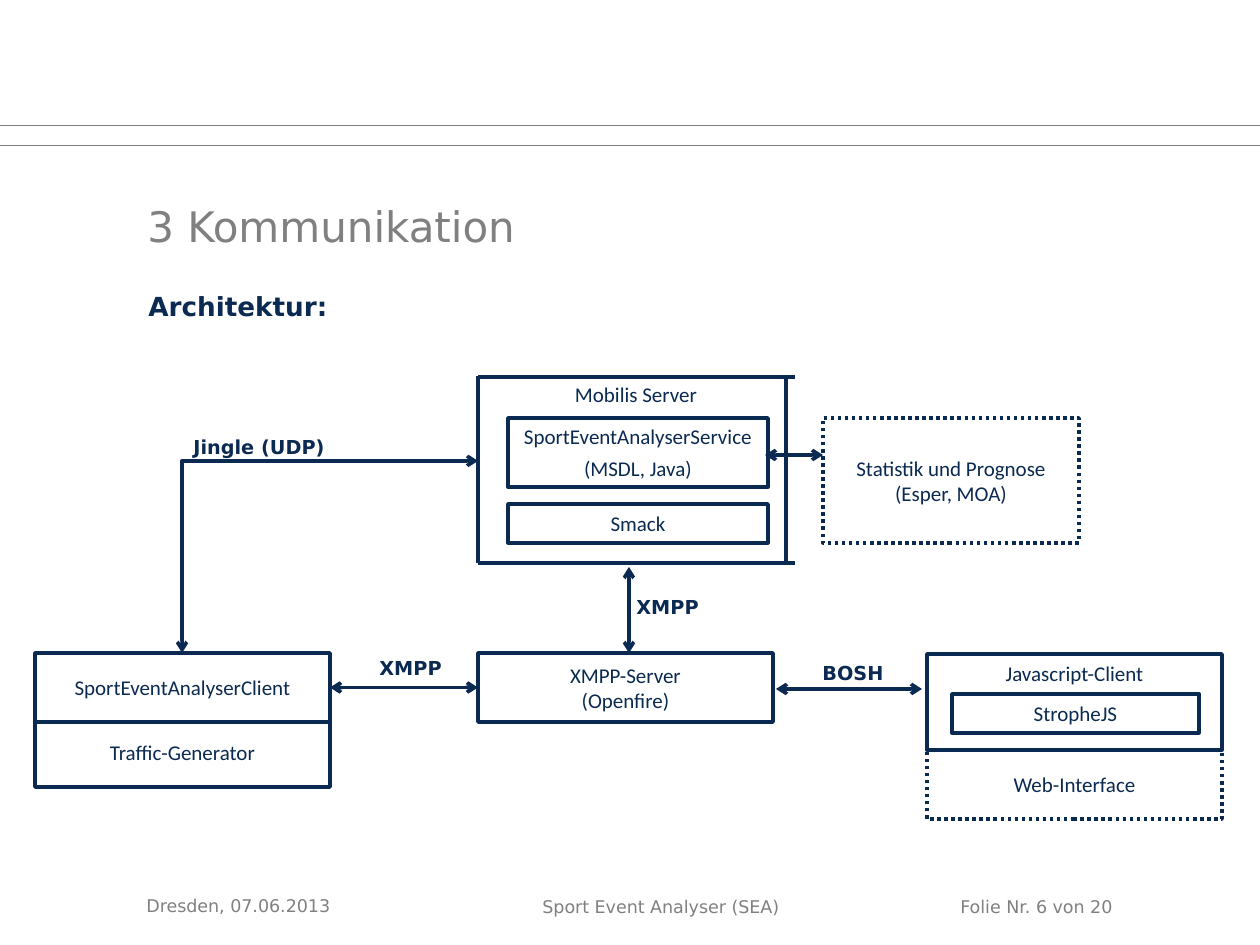
from lxml import etree
from pptx import Presentation
from pptx.dml.color import RGBColor
from pptx.enum.dml import MSO_LINE
from pptx.enum.shapes import MSO_CONNECTOR, MSO_SHAPE
from pptx.enum.text import MSO_ANCHOR, PP_ALIGN
from pptx.oxml.ns import qn
from pptx.util import Emu, Pt

TOP, MIDDLE = MSO_ANCHOR.TOP, MSO_ANCHOR.MIDDLE
LEFT, CENTER = PP_ALIGN.LEFT, PP_ALIGN.CENTER
STRAIGHT, ELBOW = MSO_CONNECTOR.STRAIGHT, MSO_CONNECTOR.ELBOW
RECTANGLE, SOLID, DOTTED = MSO_SHAPE.RECTANGLE, MSO_LINE.SOLID, MSO_LINE.ROUND_DOT
SIDE_LEFT, SIDE_RIGHT = 1, 3

NAVY, GRAY, WHITE = "0B2A51", "808080", "FFFFFF"
SANS, BOX_FONT = "DejaVu Sans", "Calibri"
PX_PER_INCH = 126

# Text styles
TITLE = {"size": Pt(24), "name": SANS, "color": GRAY}
HEADING = {"size": Pt(15), "name": SANS, "bold": True, "color": NAVY}
FOOTER = {"size": Pt(10), "name": SANS, "color": GRAY}
LABEL = {"size": Pt(11), "name": SANS, "bold": True, "color": NAVY}
BOX = {"size": Pt(12), "name": BOX_FONT, "color": NAVY}

# Texts: wording, (left, top, width, height), style, anchor
TEXTS = [
    ("3 Kommunikation", (135, 199, 1034, 53), TITLE, MIDDLE),
    ("Architektur:", (136, 284, 247, 50), HEADING, TOP),
    ("Dresden, 07.06.2013", (134, 881, 294, 50), FOOTER, MIDDLE),
    ("Sport Event Analyser (SEA)", (530, 890, 281, 34), FOOTER, TOP),
    ("Folie Nr. 6 von 20", (948, 890, 238, 58), FOOTER, TOP),
]
LABELS = [
    ("XMPP", (367, 653, 91, 35)),
    ("BOSH", (810, 658, 91, 35)),
    ("XMPP", (624, 592, 91, 35)),
    ("Jingle (UDP)", (181, 432, 176, 35)),
]

# Boxes, back to front: lines, (left, top, width, height), outline, dash, anchor
BOXES = [
    (["Mobilis Server"], (508, 375, 256, 39), WHITE, SOLID, TOP),
    (["SportEventAnalyserService", "(MSDL, Java)"], (508, 418, 260, 69),
     NAVY, SOLID, MIDDLE),
    (["Smack"], (508, 504, 260, 39), NAVY, SOLID, MIDDLE),
    (["XMPP-Server", "(Openfire)"], (478, 653, 295, 69), NAVY, SOLID, MIDDLE),
    (["Traffic-Generator"], (35, 718, 295, 69), NAVY, SOLID, MIDDLE),
    (["SportEventAnalyserClient"], (35, 653, 295, 69), NAVY, SOLID, MIDDLE),
    (["Web-Interface"], (927, 750, 295, 69), NAVY, DOTTED, MIDDLE),
    (["Statistik und Prognose", "(Esper, MOA)"], (823, 418, 256, 125),
     NAVY, DOTTED, MIDDLE),
    (["Javascript-Client"], (927, 654, 295, 96), NAVY, SOLID, TOP),
    (["StropheJS"], (952, 694, 247, 39), NAVY, SOLID, MIDDLE),
]
SPACE_AFTER = {"SportEventAnalyserService": Pt(4)}

# Lines: x1, y1, x2, y2
HEADER_RULES = [(0, 125, 1260, 125), (0, 145, 1260, 145)]
SERVER_FRAME = [
    (478, 563, 478, 376),
    (478, 563, 795, 563),
    (786, 561, 786, 377),
    (478, 377, 795, 377),
]
ARROWS = [(765, 455, 823, 455), (776, 689, 922, 689), (629, 567, 629, 653)]
CLIENT_TO_SERVER = (330, 687, 478, 687)
JINGLE_START, JINGLE_END = (182, 653), (478, 461)


def px(value):
    return Emu(round(value * 914400 / PX_PER_INCH))


def rgb(color):
    return RGBColor.from_string(color)


def write(shape, lines, style, anchor, align=LEFT, spacing=None):
    frame = shape.text_frame
    frame.word_wrap = True
    frame.vertical_anchor = anchor
    for index, line in enumerate(lines):
        para = frame.paragraphs[0] if index == 0 else frame.add_paragraph()
        para.alignment = align
        para.line_spacing = spacing
        para.space_after = SPACE_AFTER.get(line)
        span = para.add_run()
        span.text = line
        for key, value in style.items():
            if key == "color":
                span.font.color.rgb = rgb(value)
            else:
                setattr(span.font, key, value)


def add_text(page, text, place, style, anchor, spacing=None):
    box = page.shapes.add_textbox(*map(px, place))
    write(box, [text], style, anchor, spacing=spacing)


def add_box(page, lines, place, outline, dash, anchor):
    box = page.shapes.add_shape(RECTANGLE, *map(px, place))
    box.shadow.inherit = False
    box.fill.solid()
    box.fill.fore_color.rgb = rgb(WHITE)
    box.line.color.rgb = rgb(outline)
    box.line.width = Pt(2)
    box.line.dash_style = dash
    write(box, lines, BOX, anchor, CENTER)
    return box


def add_line(page, ends, color=NAVY, width=2, arrows=False, kind=STRAIGHT):
    line = page.shapes.add_connector(kind, *map(px, ends))
    line.line.color.rgb = rgb(color)
    line.line.width = Pt(width)
    properties = line._element.spPr
    if arrows:
        for tag in ("a:headEnd", "a:tailEnd"):
            etree.SubElement(properties.find(qn("a:ln")), qn(tag), type="arrow")
    etree.SubElement(properties, qn("a:effectLst"))
    return line


def add_corner_arrow(page, start, end):
    """One-bend arrow going up from start, then right to end."""
    (x1, y1), (x2, y2) = start, end
    run, rise = x2 - x1, y1 - y2
    middle_x, middle_y = (x1 + x2) / 2, (y1 + y2) / 2
    # The unrotated frame swaps run and rise around the same centre
    ends = (middle_x + rise / 2, middle_y + run / 2,
            middle_x - rise / 2, middle_y - run / 2)
    line = add_line(page, ends, arrows=True, kind=ELBOW)
    properties = line._element.spPr
    properties.find(qn("a:xfrm")).set("rot", "5400000")
    properties.find(qn("a:prstGeom")).set("prst", "bentConnector2")


def main():
    deck = Presentation()
    deck.slide_width, deck.slide_height = px(1260), px(945)
    page = deck.slides.add_slide(deck.slide_layouts[6])

    # Header, title and footer
    for ends in HEADER_RULES:
        add_line(page, ends, GRAY, 0.5)
    for text in TEXTS:
        add_text(page, *text)

    # Architecture boxes
    boxes = {item[0][0]: add_box(page, *item) for item in BOXES}

    # Server frame and arrows
    for ends in SERVER_FRAME:
        add_line(page, ends)
    for ends in ARROWS:
        add_line(page, ends, arrows=True)
    link = add_line(page, CLIENT_TO_SERVER, arrows=True)
    link.begin_connect(boxes["SportEventAnalyserClient"], SIDE_RIGHT)
    link.end_connect(boxes["XMPP-Server"], SIDE_LEFT)
    add_corner_arrow(page, JINGLE_START, JINGLE_END)

    # Protocol labels
    for text, place in LABELS:
        add_text(page, text, place, LABEL, TOP, 0.9)

    deck.save("out.pptx")


if __name__ == "__main__":
    main()
